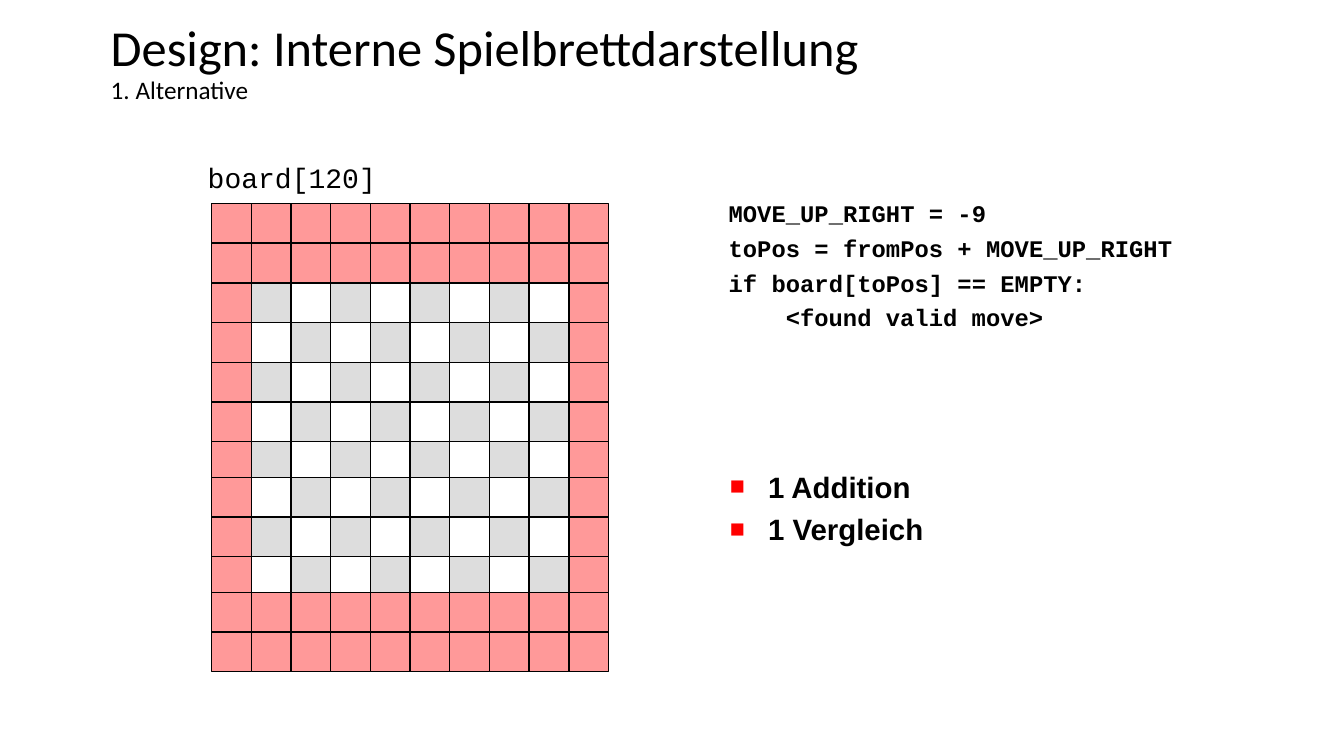
from lxml.etree import SubElement
from pptx import Presentation
from pptx.dml.color import RGBColor
from pptx.enum.shapes import MSO_SHAPE
from pptx.enum.text import MSO_ANCHOR
from pptx.oxml.ns import qn
from pptx.util import Pt

BLACK, WHITE, GREY, PINK, RED = "000000", "FFFFFF", "DDDDDD", "FF9999", "FF0000"
TITLE = [("Design: Interne Spielbrettdarstellung", 36), ("1. Alternative", 18)]
BOARD_LABEL = "board[120]"
CODE = [
    ("MOVE_UP_RIGHT = -9", 0),
    ("toPos = fromPos + MOVE_UP_RIGHT", 0),
    ("if board[toPos] == EMPTY:", 0),
    ("<found valid move>", 4),
]
COSTS = ["1 Addition", "1 Vergleich"]

ROWS, COLS, CELL, OVERLAP = 12, 10, 28.35, 2.85
BOARD_LEFT, BOARD_TOP = 151.2, 145.4
ROW_ORDER = [*range(9, 1, -1), 10, 11, 0, 1]
CODE_SIZE, CODE_CHAR = 17, 10.2
BULLET_INDENT = 27.3


def rgb(color):
    return RGBColor.from_string(color)


def add_text_box(left, top, width, height, wrap=True, inset=7.2):
    tf = s.shapes.add_textbox(Pt(left), Pt(top), Pt(width), Pt(height)).text_frame
    layout = dict(word_wrap=wrap, vertical_anchor=MSO_ANCHOR.TOP,
                  margin_left=Pt(inset), margin_right=Pt(inset))
    for name, value in layout.items():
        setattr(tf, name, value)
    return tf


def add_run(p, text, font, size, bold=False):
    r = p.add_run()
    r.text = text
    for name, value in dict(name=font, size=Pt(size), bold=bold).items():
        setattr(r.font, name, value)
    r.font.color.rgb = rgb(BLACK)


def add_paragraph(tf, index, gap, margin=0, indent=0):
    p = tf.add_paragraph() if index else tf.paragraphs[0]
    p.space_before = Pt(gap)
    pPr = p._p.get_or_add_pPr()
    pPr.set("marL", str(Pt(margin)))
    pPr.set("indent", str(Pt(indent)))
    return p


def add_bullet(p, char, color, percent):
    pPr = p._p.get_or_add_pPr()
    SubElement(SubElement(pPr, qn("a:buClr")), qn("a:srgbClr"), val=color)
    SubElement(pPr, qn("a:buSzPct"), val=str(percent * 1000))
    SubElement(pPr, qn("a:buFont"), typeface="Arial")
    SubElement(pPr, qn("a:buChar"), char=char)


def cell_color(row, col):
    if row < 2 or row > 9 or col in (0, COLS - 1):
        return PINK
    return GREY if (row + col) % 2 else WHITE


def cell_top(row):
    return BOARD_TOP + row * CELL - OVERLAP * ((row > 5) + (row > 9))


prs = Presentation()
prs.slide_width, prs.slide_height = Pt(960), Pt(540)
s = prs.slides.add_slide(prs.slide_layouts[6])

p = add_text_box(72, 13, 816, 90).paragraphs[0]
p.line_spacing = 0.9
for i, (text, size) in enumerate(TITLE):
    if i:
        p.add_line_break()
    add_run(p, text, "Calibri", size)

board = s.shapes.add_group_shape()
for row in ROW_ORDER:
    for col in range(COLS):
        sp = board.shapes.add_shape(MSO_SHAPE.RECTANGLE, Pt(BOARD_LEFT + col * CELL),
                                    Pt(cell_top(row)), Pt(CELL), Pt(CELL))
        sp.shadow.inherit = False
        sp.fill.solid()
        sp.fill.fore_color.rgb = rgb(cell_color(row, col))
        sp.line.color.rgb = rgb(BLACK)
        sp.line.width = Pt(1)

tf = add_text_box(141.3, 111, 134.6, 31, wrap=False)
add_run(tf.paragraphs[0], BOARD_LABEL, "Courier New", 20)

tf = add_text_box(512.6, 138.2, 341.3, 109.4, inset=7.9)
for i, (text, depth) in enumerate(CODE):
    p = add_paragraph(tf, i, 4.5, margin=depth * CODE_CHAR)
    add_run(p, text, "Courier New", CODE_SIZE, bold=True)

tf = add_text_box(513.4, 331.2, 347, 80.6, inset=7.9)
for i, text in enumerate(COSTS):
    p = add_paragraph(tf, i, 5, margin=BULLET_INDENT, indent=-BULLET_INDENT)
    add_bullet(p, "■", RED, 85)
    add_run(p, text, "Arial", 21, bold=True)

prs.save("out.pptx")
